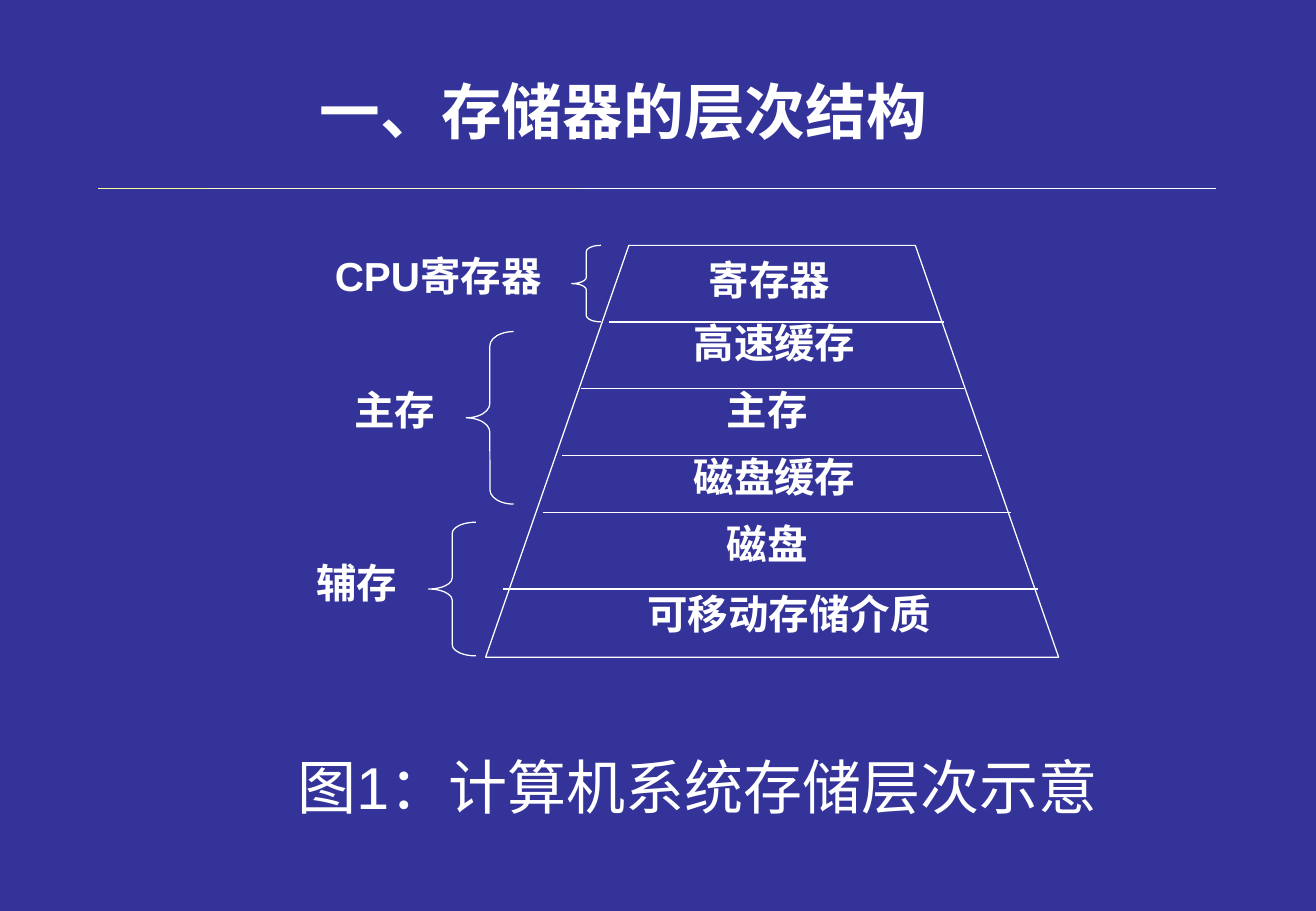
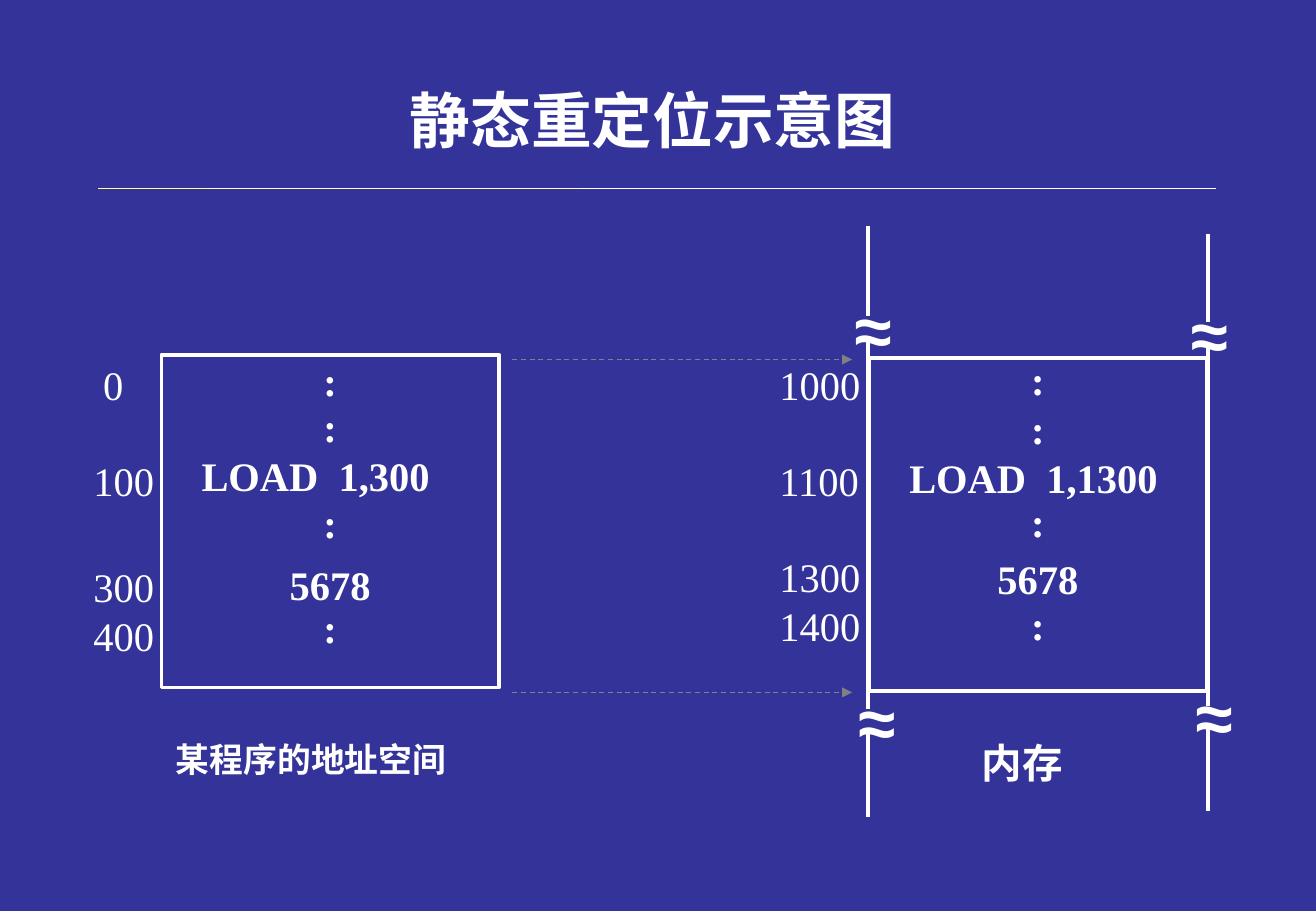
from lxml.etree import SubElement
from pptx import Presentation
from pptx.dml.color import RGBColor
from pptx.enum.dml import MSO_LINE
from pptx.enum.shapes import MSO_CONNECTOR, MSO_SHAPE
from pptx.enum.text import MSO_ANCHOR, PP_ALIGN
from pptx.oxml.ns import qn
from pptx.util import Inches, Pt

COLORS = {
    "background": "333399",
    "white": "FFFFFF",
    "cream": "FFFFCC",
    "yellow": "FFFF99",
    "gray": "808080",
}
SANS, SERIF, CHINESE = "Arial", "Times New Roman", "Noto Sans CJK SC"
LINE_HEIGHT = Pt(24)


def rgb(name):
    return RGBColor.from_string(COLORS[name])


def add_run(paragraph, text, size, font=SANS, bold=True, chinese=CHINESE):
    run = paragraph.add_run()
    run.text = text
    run.font.size = Pt(size)
    run.font.bold = bold
    run.font.name = font
    run.font.color.rgb = rgb("white")
    SubElement(run._r.get_or_add_rPr(), qn("a:ea")).set("typeface", chinese)


def prepare_frame(shape, anchor=MSO_ANCHOR.TOP, top_inset=0):
    frame = shape.text_frame
    frame.word_wrap = True
    frame.vertical_anchor = anchor
    frame.margin_left = frame.margin_right = frame.margin_bottom = 0
    frame.margin_top = Inches(top_inset)
    return frame


def add_label(slide, box, text, size=24, font=SANS, bold=True,
              align=PP_ALIGN.CENTER, anchor=MSO_ANCHOR.TOP, chinese=CHINESE):
    shape = slide.shapes.add_textbox(*map(Inches, box))
    paragraph = prepare_frame(shape, anchor).paragraphs[0]
    paragraph.alignment = align
    add_run(paragraph, text, size, font, bold, chinese)


def add_rows(frame, rows, bold):
    for index, (text, gap, align, indent) in enumerate(rows):
        paragraph = frame.add_paragraph() if index else frame.paragraphs[0]
        paragraph.alignment = align
        paragraph.line_spacing = LINE_HEIGHT
        paragraph.space_before = Pt(gap)
        if indent:
            properties = paragraph._p.get_or_add_pPr()
            properties.set("marL", str(Inches(indent)))
            properties.set("indent", "0")
        add_run(paragraph, text, 24, SERIF, bold)


def add_line(slide, start, end, color="white", width=0.75, arrow=False):
    line = slide.shapes.add_connector(
        MSO_CONNECTOR.STRAIGHT, *map(Inches, (*start, *end)))
    line.line.color.rgb = rgb(color)
    line.line.width = Pt(width)
    if arrow:
        line.line.dash_style = MSO_LINE.DASH
        SubElement(line.line._get_or_add_ln(), qn("a:tailEnd")).set("type", "triangle")
    SubElement(line._element.spPr, qn("a:effectLst"))


def add_outline(slide, kind, box, width=0.75):
    shape = slide.shapes.add_shape(kind, *map(Inches, box))
    shape.shadow.inherit = False
    shape.fill.background()
    shape.line.color.rgb = rgb("white")
    shape.line.width = Pt(width)
    return shape


def add_titled_slide(presentation, title, box, font):
    slide = presentation.slides.add_slide(presentation.slide_layouts[6])
    for left, right, color in ((4.78, 10.02, "white"), (1.53, 4.78, "cream"),
                               (0.81, 1.72, "yellow")):
        add_line(slide, (left, 1.55), (right, 1.55), color)
    add_label(slide, box, title, 36, font, anchor=MSO_ANCHOR.MIDDLE)
    return slide


def add_pyramid(slide, box):
    left, top, width, height = box
    pyramid = add_outline(slide, MSO_SHAPE.TRAPEZOID, box)
    pyramid.adjustments[0] = width / 4 / min(width, height)
    for start, end, offset in ((1.02, 3.78, 0.63), (0.79, 3.94, 1.18),
                               (0.63, 4.09, 1.73), (0.47, 4.33, 2.2),
                               (0.14, 4.55, 2.83)):
        add_line(slide, (left + start, top + offset), (left + end, top + offset))
    for text, center, offset in (("寄存器", 2.34, 0.08), ("高速缓存", 2.38, 0.6),
                                 ("主存", 2.32, 1.15), ("磁盘缓存", 2.38, 1.7),
                                 ("磁盘", 2.32, 2.25), ("可移动存储介质", 2.5, 2.83)):
        add_label(slide, (left + center - 1.3, top + offset, 2.6, 0.5), text)


def add_brace_group(slide, box, text, label_center, label_top):
    left, top, width, height = box
    brace = add_outline(slide, MSO_SHAPE.LEFT_BRACE, box)
    brace.adjustments[0] = height / 12 / width
    add_label(slide, (left + label_center - 1, top + label_top, 2, 0.5), text)


def build_hierarchy_slide(presentation):
    slide = add_titled_slide(presentation, "一、存储器的层次结构",
                             (0.53, 0.28, 9.21, 1.25), SANS)
    add_pyramid(slide, (4, 2.02, 4.72, 3.39))
    add_brace_group(slide, (4.71, 2.02, 0.24, 0.63), "CPU寄存器", -1.1, 0.05)
    add_brace_group(slide, (3.84, 2.73, 0.39, 1.42), "主存", -0.59, 0.44)
    add_brace_group(slide, (3.53, 4.3, 0.39, 1.1), "辅存", -0.59, 0.29)
    add_label(slide, (2.45, 6.18, 7.2, 0.8), "图1：计算机系统存储层次示意",
              35, bold=False, align=PP_ALIGN.LEFT)


def add_code_box(slide, box, instruction, gaps, top_inset):
    shape = add_outline(slide, MSO_SHAPE.RECTANGLE, box, 2.25)
    rows = [(text, gap, PP_ALIGN.LEFT if text == instruction else PP_ALIGN.CENTER,
             0.33 if text == instruction else 0)
            for text, gap in zip((":", ":", instruction, ":", "5678", ":"), gaps)]
    add_rows(prepare_frame(shape, top_inset=top_inset), rows, True)


def add_addresses(slide, box, addresses, gaps):
    shape = slide.shapes.add_textbox(*map(Inches, box))
    rows = [(address, gap, PP_ALIGN.LEFT, 0.08 if address == "0" else 0)
            for address, gap in zip(addresses, gaps)]
    add_rows(prepare_frame(shape), rows, False)


def add_memory_rail(slide, x, segments, breaks):
    for top, bottom in segments:
        add_line(slide, (x, top), (x, bottom), width=2.25)
    for left, top in breaks:
        add_label(slide, (left, top, 0.5, 0.65), "≈", 40,
                  align=PP_ALIGN.LEFT, chinese=SANS)


def build_relocation_slide(presentation):
    slide = add_titled_slide(presentation, "静态重定位示意图",
                             (0.77, 0.44, 9.21, 1.08), CHINESE)
    add_code_box(slide, (1.33, 2.92, 2.78, 2.74), "LOAD  1,300",
                 (0, 3, 5, 4, 13, 1), 0.08)
    add_addresses(slide, (0.77, 3.03, 0.54, 2.4), ("0", "100", "300", "400"),
                  (0, 33, 39, 5))
    add_code_box(slide, (7.16, 2.95, 2.78, 2.74), "LOAD  1,1300",
                 (0, 5, 5, 2, 10, 3), 0.04)
    add_addresses(slide, (6.42, 3.03, 0.72, 2.4), ("1000", "1100", "1300", "1400"),
                  (0, 33, 33, 5))
    for y in (2.96, 5.7):
        add_line(slide, (4.22, y), (7.02, y), "gray", arrow=True)
    add_memory_rail(slide, 7.15, ((1.86, 2.6), (2.81, 5.84), (5.99, 6.73)),
                    ((7.04, 2.37), (7.07, 5.6)))
    add_memory_rail(slide, 9.95, ((1.93, 2.65), (2.86, 5.81), (5.96, 6.68)),
                    ((9.81, 2.41), (9.85, 5.56)))
    add_label(slide, (1.45, 6.08, 2.7, 0.5), "某程序的地址空间", 20, SERIF,
              align=PP_ALIGN.LEFT)
    add_label(slide, (7.92, 6.08, 1, 0.5), "内存", font=SERIF)


def main():
    presentation = Presentation()
    presentation.slide_width = Inches(10.84)
    presentation.slide_height = Inches(7.5)
    background = presentation.slide_master.background.fill
    background.solid()
    background.fore_color.rgb = rgb("background")
    build_hierarchy_slide(presentation)
    build_relocation_slide(presentation)
    presentation.save("out.pptx")


if __name__ == "__main__":
    main()
